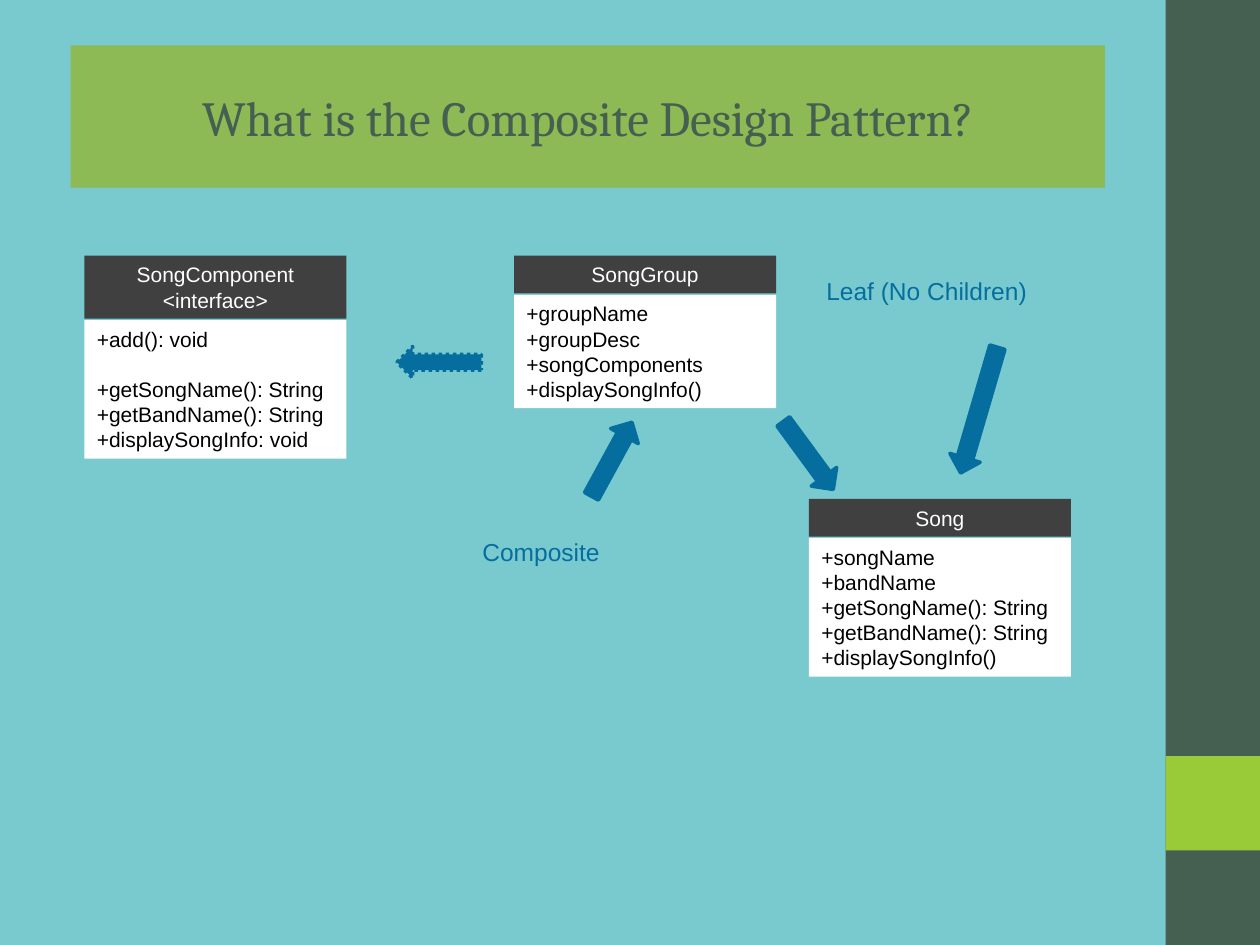
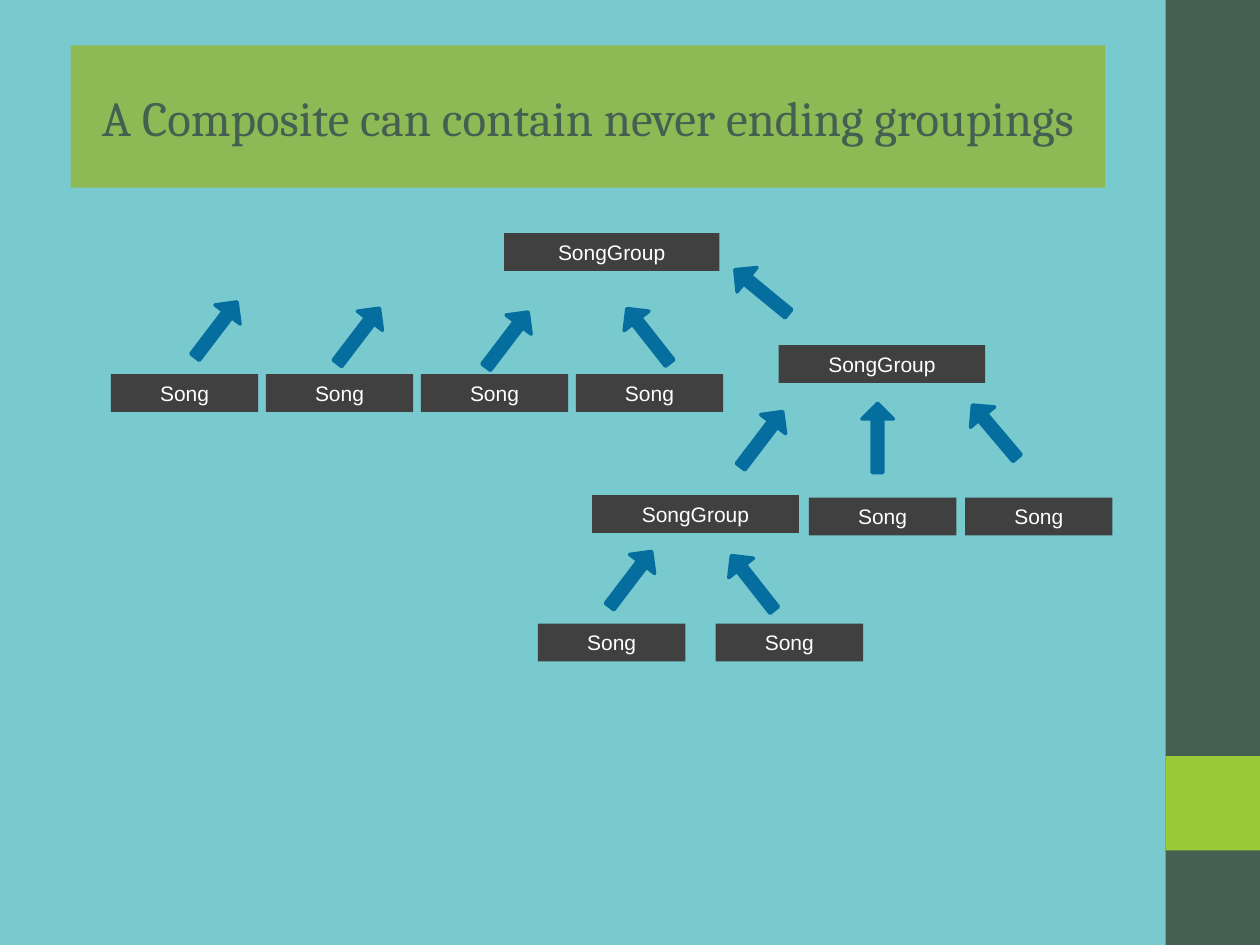
from pptx import Presentation
from pptx.dml.color import RGBColor
from pptx.enum.dml import MSO_LINE
from pptx.enum.shapes import MSO_SHAPE as Preset
from pptx.enum.text import MSO_ANCHOR as Anchor, MSO_AUTO_SIZE as AutoSize, PP_ALIGN as Align
from pptx.util import Inches, Pt

COLUMNS, ROWS = 10, 7.5
CELL = Inches(1)
BACKGROUND, SIDE_BAND, SIDE_ACCENT = "78CACF", "455F51", "99CB38"
TITLE_FILL, HEADER_FILL, BODY_FILL, ARROW_BLUE = "8DBA55", "404040", "FFFFFF", "066E9F"
WHITE, BLACK = "FFFFFF", "000000"
LINE_PITCH, BOX_PADDING = 0.2, 0.05
CLASS_WIDTH, GROUP_WIDTH, SONG_WIDTH = 2.08, 1.64, 1.17
TITLE_FONT = {"name": "Cambria", "size": Pt(28), "bold": False}
BOX_FONT = {"name": "Arial", "size": Pt(12)}
LABEL_FONT = {"name": "Arial", "size": Pt(14)}
TITLE_FRAME = {"vertical_anchor": Anchor.MIDDLE, "word_wrap": True, "auto_size": AutoSize.NONE}
BOX_FRAME = {
    "vertical_anchor": Anchor.TOP, "word_wrap": True,
    "margin_left": Inches(0.1), "margin_right": Inches(0.1),
    "margin_top": Inches(BOX_PADDING), "margin_bottom": Inches(BOX_PADDING),
}
UP_RIGHT, UP_LEFT, UP = 307.3, 231.8, 270


def apply(target, values):
    """Set every attribute in values on target."""
    for name, value in values.items():
        setattr(target, name, value)


def paint(color_holder, color):
    """Make a fill solid with a hex colour."""
    color_holder.solid()
    color_holder.fore_color.rgb = RGBColor.from_string(color)


def cells(*lengths):
    """Convert grid columns and rows to slide lengths."""
    return [int(length * CELL) for length in lengths]


def style_text(paragraph, text, font, color, align):
    """Write one formatted paragraph."""
    paragraph.alignment = align
    run = paragraph.add_run()
    run.text = text
    apply(run.font, font)
    run.font.color.rgb = RGBColor.from_string(color)


def add_block(slide, preset, area, color):
    """Add a flat filled shape without outline."""
    shape = slide.shapes.add_shape(preset, *cells(*area))
    shape.shadow.inherit = False
    paint(shape.fill, color)
    shape.line.fill.background()
    return shape


def add_box(slide, left, top, width, lines, fill=HEADER_FILL, color=WHITE, align=Align.CENTER):
    """Add a box as tall as its lines, an empty line being a gap, and return its bottom."""
    height = 2 * BOX_PADDING + LINE_PITCH * len(lines)
    box = add_block(slide, Preset.RECTANGLE, (left, top, width, height), fill)
    frame = box.text_frame
    apply(frame, BOX_FRAME)
    paragraph, gap = frame.paragraphs[0], 0
    for line in lines:
        if not line:
            gap += LINE_PITCH
            continue
        if paragraph.runs:
            paragraph = frame.add_paragraph()
        apply(paragraph, {"line_spacing": Inches(LINE_PITCH), "space_before": Inches(gap)})
        style_text(paragraph, line, BOX_FONT, color, align)
        gap = 0
    return top + height


def add_class(slide, left, top, heading, members):
    """Add a class diagram box with a heading and its members."""
    bottom = add_box(slide, left, top, CLASS_WIDTH, heading)
    add_box(slide, left, bottom + 0.01, CLASS_WIDTH, members, BODY_FILL, BLACK, Align.LEFT)


def add_arrow(slide, left, top, angle, length=0.55, shaft=0.34, dash=None):
    """Add a rotated block arrow."""
    arrow = add_block(slide, Preset.RIGHT_ARROW, (left, top, length, 0.25), ARROW_BLUE)
    arrow.adjustments[0] = shaft
    arrow.adjustments[1] = 0.5
    arrow.rotation = angle
    paint(arrow.line.fill, ARROW_BLUE)
    apply(arrow.line, {"width": Pt(2), "dash_style": dash})


def add_label(slide, left, top, text):
    """Add a blue explanatory label."""
    frame = slide.shapes.add_textbox(*cells(left, top, 1.87, 0.34)).text_frame
    apply(frame, BOX_FRAME)
    style_text(frame.paragraphs[0], text, LABEL_FONT, ARROW_BLUE, Align.LEFT)


def add_titled_slide(presentation, text):
    """Add a slide with the green title bar."""
    slide = presentation.slides.add_slide(presentation.slide_layouts[5])
    title = slide.shapes.title
    apply(title, dict(zip(("left", "top", "width", "height"), cells(0.56, 0.36, 8.21, 1.13))))
    paint(title.fill, TITLE_FILL)
    apply(title.text_frame, TITLE_FRAME)
    style_text(title.text_frame.paragraphs[0], text, TITLE_FONT, SIDE_BAND, Align.CENTER)
    return slide


def decorate_master(presentation, slide):
    """Move the shared side bands to the master and colour its background."""
    master = presentation.slide_master
    paint(master.background.fill, BACKGROUND)
    for top, height, color in ((0, ROWS, SIDE_BAND), (6, 0.75, SIDE_ACCENT)):
        band = add_block(slide, Preset.RECTANGLE, (9.25, top, 0.75, height), color)
        master.shapes.element.append(band.element)


def draw_pattern(slide):
    """Draw the three classes of the pattern and their relations."""
    add_class(slide, 0.67, 2.03, ["SongComponent", "<interface>"], [
        "+add(): void", "", "+getSongName(): String",
        "+getBandName(): String", "+displaySongInfo: void"])
    add_class(slide, 4.08, 2.03, ["SongGroup"], [
        "+groupName", "+groupDesc", "+songComponents", "+displaySongInfo()"])
    add_class(slide, 6.42, 3.96, ["Song"], [
        "+songName", "+bandName", "+getSongName(): String",
        "+getBandName(): String", "+displaySongInfo()"])
    add_label(slide, 6.46, 2.14, "Leaf (No Children)")
    add_label(slide, 3.73, 4.21, "Composite")
    for left, top, angle, length, dash in (
            (3.15, 2.75, 180, 0.67, MSO_LINE.ROUND_DOT), (6.08, 3.49, 53.7, 0.67, None),
            (7.25, 3.13, 106.3, 1.04, None), (4.52, 3.52, 298.7, 0.67, None)):
        add_arrow(slide, left, top, angle, length, 0.5, dash)


def draw_tree(slide):
    """Draw the nested song groups and the arrows to their parents."""
    for left, top, width in ((4, 1.85, 1.71), (6.18, 2.74, GROUP_WIDTH), (4.7, 3.93, GROUP_WIDTH)):
        add_box(slide, left, top, width, ["SongGroup"])
    for first, top, step, count in ((0.88, 2.97, 1.23, 4), (6.42, 3.95, 1.24, 2), (4.27, 4.95, 1.41, 2)):
        for index in range(count):
            add_box(slide, first + index * step, top, SONG_WIDTH, ["Song"])
    for left, top, angle in (
            (1.44, 2.49, UP_RIGHT), (2.57, 2.54, UP_RIGHT), (3.75, 2.57, UP_RIGHT),
            (4.87, 2.54, UP_LEFT), (5.77, 2.19, 219.4),
            (5.77, 3.36, UP_RIGHT), (6.69, 3.35, UP), (7.62, 3.3, 229.8),
            (4.73, 4.47, UP_RIGHT), (5.7, 4.5, UP_LEFT)):
        add_arrow(slide, left, top, angle)


def main():
    """Build and save the presentation."""
    presentation = Presentation()
    presentation.slide_width, presentation.slide_height = cells(COLUMNS, ROWS)
    pattern = add_titled_slide(presentation, "What is the Composite Design Pattern?")
    decorate_master(presentation, pattern)
    draw_pattern(pattern)
    draw_tree(add_titled_slide(presentation, "A Composite can contain never ending groupings"))
    presentation.save("out.pptx")


if __name__ == "__main__":
    main()
